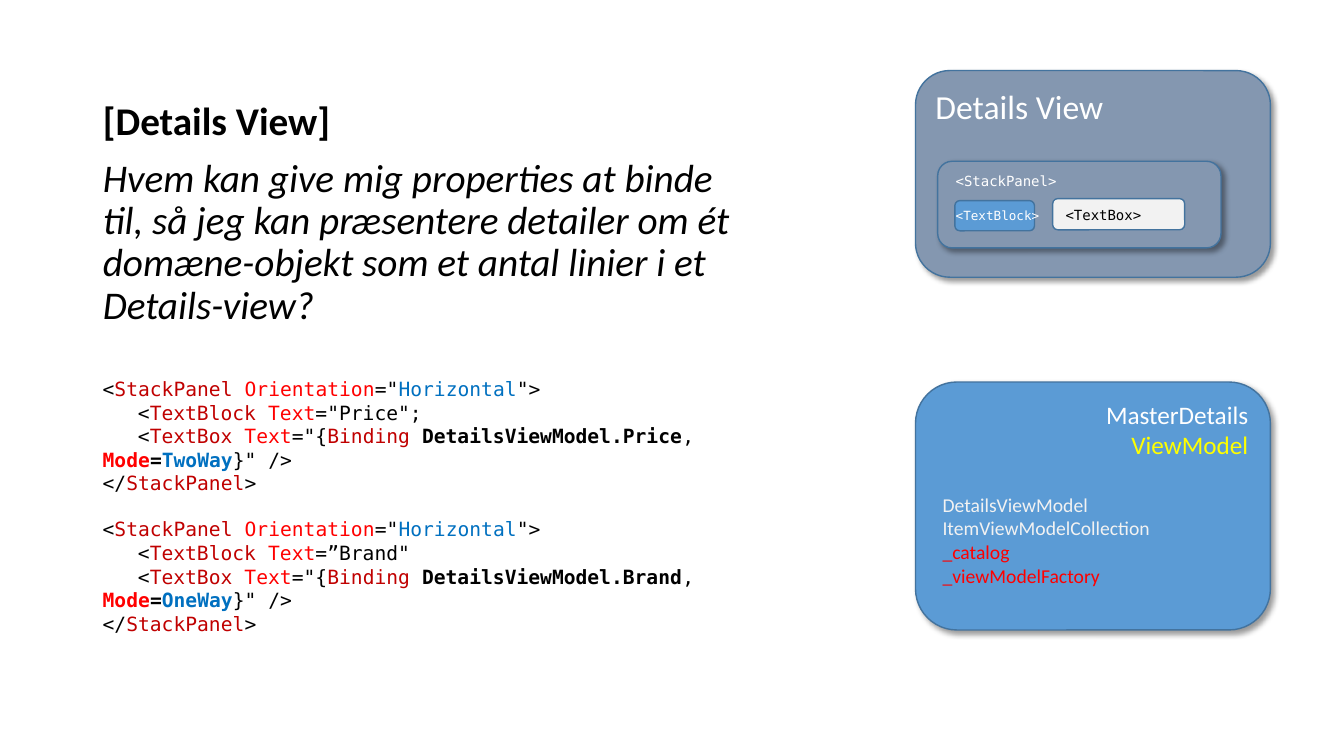
from lxml.etree import SubElement
from pptx import Presentation
from pptx.dml.color import RGBColor
from pptx.enum.shapes import MSO_SHAPE
from pptx.enum.text import MSO_ANCHOR, MSO_AUTO_SIZE, PP_ALIGN
from pptx.oxml.ns import qn
from pptx.util import Inches, Pt

SANS = "Calibri"
MONO = "DejaVu Sans Mono"
BLACK = "000000"
WHITE = "FFFFFF"
LIGHT = "F2F2F2"
TAG = "C00000"
RED = "FF0000"
VALUE = "0070C0"
YELLOW = "FFFF00"
BLUE = "5B9BD5"
SLATE = "8497B0"
OUTLINE = "43739E"


def color(hex_text):
    return RGBColor.from_string(hex_text)


def add_run(paragraph, text, size=14, font=SANS, ink=BLACK, bold=False, italic=False):
    run = paragraph.add_run()
    run.text = text
    run.font.size = Pt(size)
    run.font.name = font
    run.font.color.rgb = color(ink)
    run.font.bold = bold
    run.font.italic = italic


def next_paragraph(frame):
    first = frame.paragraphs[0]
    return frame.add_paragraph() if first.runs else first


def add_text_box(slide, left, top, width, height):
    box = slide.shapes.add_textbox(Inches(left), Inches(top), Inches(width), Inches(height))
    box.text_frame.word_wrap = True
    return box.text_frame


def add_label(slide, left, top, width, height, text, **text_format):
    frame = add_text_box(slide, left, top, width, height)
    add_run(frame.paragraphs[0], text, **text_format)


def add_shadow(shape):
    effects = shape._element.spPr.find(qn("a:effectLst"))
    shadow = SubElement(
        effects,
        qn("a:outerShdw"),
        blurRad=str(Pt(4)),
        dist=str(Pt(3)),
        dir=str(45 * 60000),
        algn="tl",
        rotWithShape="0",
    )
    black = SubElement(shadow, qn("a:srgbClr"), val=BLACK)
    SubElement(black, qn("a:alpha"), val="40000")


def add_card(slide, left, top, width, height, fill, shadow=True):
    card = slide.shapes.add_shape(
        MSO_SHAPE.ROUNDED_RECTANGLE, Inches(left), Inches(top), Inches(width), Inches(height)
    )
    card.fill.solid()
    card.fill.fore_color.rgb = color(fill)
    card.line.color.rgb = color(OUTLINE)
    card.line.width = Pt(1)
    card.shadow.inherit = False
    if shadow:
        add_shadow(card)
    card.text_frame.vertical_anchor = MSO_ANCHOR.TOP
    card.text_frame.paragraphs[0].alignment = PP_ALIGN.LEFT
    return card.text_frame


def fill_question(slide, left, top, width, height):
    body = slide.placeholders[1]
    body.left, body.top = Inches(left), Inches(top)
    body.width, body.height = Inches(width), Inches(height)
    frame = body.text_frame
    frame.auto_size = MSO_AUTO_SIZE.NONE
    question = (
        "Hvem kan give mig properties at binde til, så jeg kan præsentere detailer "
        "om ét domæne-objekt som et antal linier i et Details-view?"
    )
    for text, style in (("[Details View]", {"bold": True}), (question, {"italic": True})):
        paragraph = next_paragraph(frame)
        paragraph.line_spacing = 0.9
        paragraph.space_before = Pt(10)
        properties = paragraph._p.get_or_add_pPr()
        properties.set("marL", "0")
        properties.set("indent", "0")
        SubElement(properties, qn("a:buNone"))
        add_run(paragraph, text, size=28, **style)


def add_code_line(frame, parts, indent=0):
    paragraph = next_paragraph(frame)
    paragraph._p.get_or_add_pPr().set("indent", str(Inches(indent)))
    for text, ink, *bold in parts:
        add_run(paragraph, text, font=MONO, ink=ink, bold=bool(bold))
    return paragraph


def add_code_block(frame, caption, member, mode):
    opening = add_code_line(frame, [
        ("<", BLACK), ("StackPanel ", TAG), ("Orientation", RED),
        ('="', BLACK), ("Horizontal", VALUE), ('">', BLACK),
    ])
    add_code_line(frame, [
        ("<", BLACK), ("TextBlock ", TAG), ("Text", RED), (caption, BLACK),
    ], indent=0.35)
    add_code_line(frame, [
        ("<", BLACK), ("TextBox ", TAG), ("Text", RED), ('="{', BLACK), ("Binding ", TAG),
        (f"DetailsViewModel.{member}", BLACK, True), (", ", BLACK), ("Mode", RED, True),
        ("=", BLACK, True), (mode, VALUE, True), ('}" />', BLACK),
    ], indent=0.35)
    add_code_line(frame, [("</", BLACK), ("StackPanel", TAG), (">", BLACK)])
    return opening


def add_code(slide, left, top, width, height):
    frame = add_text_box(slide, left, top, width, height)
    add_code_block(frame, '="Price";', "Price", "TwoWay")
    second_opening = add_code_block(frame, '=”Brand"', "Brand", "OneWay")
    second_opening.space_before = Pt(16.3)


def add_view_model(slide, left, top, width, height):
    heading = add_card(slide, left, top, width, height, BLUE)
    for text, ink in (("MasterDetails", WHITE), ("ViewModel", YELLOW)):
        paragraph = next_paragraph(heading)
        paragraph.alignment = PP_ALIGN.RIGHT
        add_run(paragraph, text, size=18, ink=ink)
    members = add_text_box(slide, left + 0.17, top + 1.05, 2.77, 1.04)
    for text, ink in (
        ("DetailsViewModel", LIGHT),
        ("ItemViewModelCollection", LIGHT),
        ("_catalog", RED),
        ("_viewModelFactory", RED),
    ):
        add_run(next_paragraph(members), text, ink=ink)


def add_details_view(slide, left, top, width, height):
    heading = add_card(slide, left, top, width, height, SLATE)
    add_run(heading.paragraphs[0], "Details View", size=24, ink=WHITE)
    add_card(slide, left + 0.22, top + 0.9, 2.81, 0.86, SLATE)
    add_card(slide, left + 1.36, top + 1.27, 1.31, 0.31, LIGHT, shadow=False)
    add_card(slide, left + 0.39, top + 1.29, 0.79, 0.3, BLUE, shadow=False)
    add_label(slide, left + 1.39, top + 1.3, 0.95, 0.27, "<TextBox>", size=10, font=MONO)
    add_label(slide, left + 0.3, top + 1.31, 1.11, 0.25, "<TextBlock>",
              size=9, font=MONO, ink=WHITE)
    add_label(slide, left + 0.3, top + 0.96, 1.25, 0.27, "<StackPanel>",
              size=10, font=MONO, ink=WHITE)


def main():
    presentation = Presentation()
    presentation.slide_width = Inches(13.33)
    presentation.slide_height = Inches(7.5)
    slide = presentation.slides.add_slide(presentation.slide_layouts[1])
    title = slide.shapes.title._element
    title.getparent().remove(title)
    fill_question(slide, 0.92, 0.96, 6.44, 2.63)
    add_code(slide, 0.92, 3.69, 7.87, 2.46)
    add_view_model(slide, 9.08, 3.79, 3.52, 2.46)
    add_details_view(slide, 9.08, 0.7, 3.52, 2.05)
    presentation.save("out.pptx")


if __name__ == "__main__":
    main()
